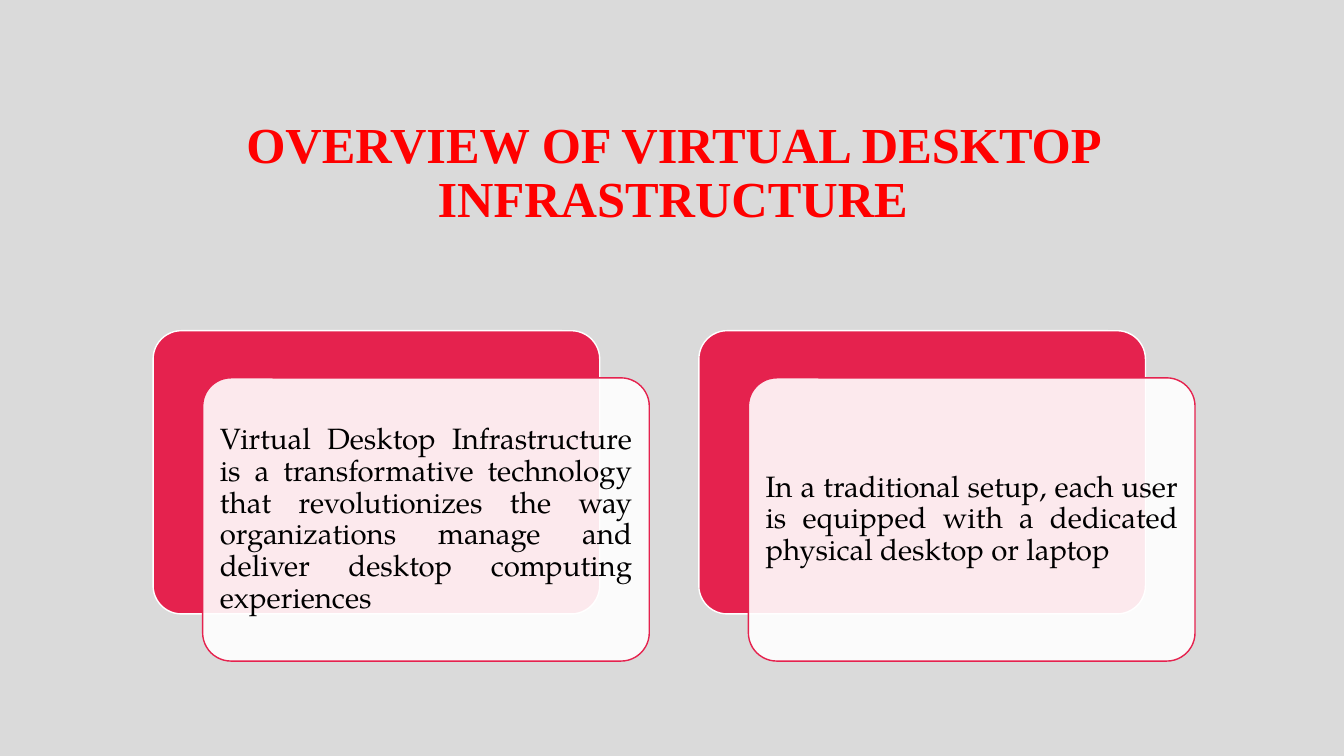
from pptx import Presentation
from pptx.dml.color import RGBColor
from pptx.enum.shapes import MSO_SHAPE
from pptx.enum.text import MSO_ANCHOR, PP_ALIGN
from pptx.oxml.ns import qn
from pptx.util import Pt
from lxml import etree

ROUNDED = MSO_SHAPE.ROUNDED_RECTANGLE
MIDDLE = MSO_ANCHOR.MIDDLE
CENTER, JUSTIFY = PP_ALIGN.CENTER, PP_ALIGN.JUSTIFY

COLORS = {"background": "DADADA", "title": "FF0000", "accent": "E5224E",
          "white": "FFFFFF", "text": "000000"}
CARDS = [
    "Virtual Desktop Infrastructure is a transformative technology that "
    "revolutionizes the way organizations manage and deliver desktop "
    "computing experiences",
    "In a traditional setup, each user is equipped with a dedicated "
    "physical desktop or laptop",
]
CARD_LEFT, CARD_TOP, CARD_W, CARD_H = 109.4, 236.2, 319, 202.3
CARD_STEP, SHIFT_X, SHIFT_Y = 389.8, 35.4, 33.7


def write(shape, text, align, color, inset, font):
    tf = shape.text_frame
    tf.word_wrap = True
    tf.vertical_anchor = MIDDLE
    for side in ("left", "top", "right", "bottom"):
        setattr(tf, f"margin_{side}", Pt(inset))
    p = tf.paragraphs[0]
    p.alignment = align
    p.line_spacing = 0.9
    p.space_before = Pt(0)
    r = p.add_run()
    r.text = text
    r.font.color.rgb = RGBColor.from_string(COLORS[color])
    for name, value in font.items():
        setattr(r.font, name, value)


def add_card(s, left, top, fill, line):
    sp = s.shapes.add_shape(ROUNDED, Pt(left), Pt(top), Pt(CARD_W), Pt(CARD_H))
    sp.adjustments[0] = 0.1
    sp.shadow.inherit = False
    sp.fill.solid()
    sp.fill.fore_color.rgb = RGBColor.from_string(COLORS[fill])
    sp.line.color.rgb = RGBColor.from_string(COLORS[line])
    sp.line.width = Pt(1)
    return sp


prs = Presentation()
prs.slide_width, prs.slide_height = Pt(960), Pt(540)
s = prs.slides.add_slide(prs.slide_layouts[5])
s.background.fill.solid()
s.background.fill.fore_color.rgb = RGBColor.from_string(COLORS["background"])

# Title
title = s.shapes.title
title.left, title.top, title.width, title.height = Pt(75.6), Pt(74.2), Pt(810), Pt(100.8)
write(title, "OVERVIEW OF VIRTUAL DESKTOP INFRASTRUCTURE", CENTER, "title", 5,
      {"name": "Times New Roman", "size": Pt(36), "bold": True})

# Cards: a red back plate and a translucent front plate with the text
for i, text in enumerate(CARDS):
    left = CARD_LEFT + i * CARD_STEP
    add_card(s, left, CARD_TOP, "accent", "white")
    front = add_card(s, left + SHIFT_X, CARD_TOP + SHIFT_Y, "white", "accent")
    fill_color = front.fill._xPr.find(qn("a:solidFill"))[0]
    etree.SubElement(fill_color, qn("a:alpha"), val="90000")
    write(front, text, JUSTIFY, "text", 6.3,
          {"name": "TeX Gyre Pagella", "size": Pt(21)})

prs.save("out.pptx")
